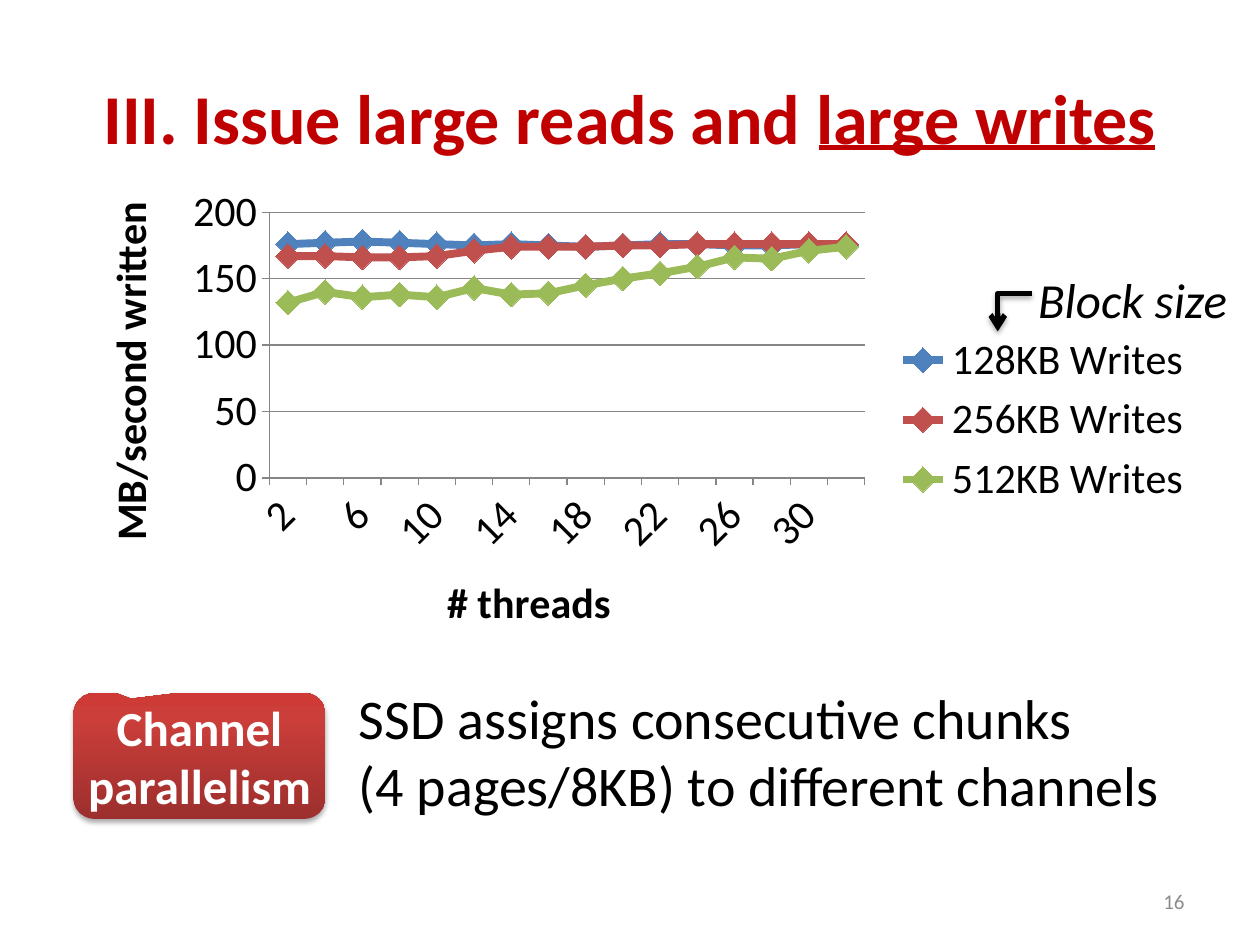
import copy

import lxml.etree
import pptx
import pptx.chart.data
import pptx.dml.color
import pptx.enum.chart
import pptx.enum.shapes
import pptx.enum.text
import pptx.oxml
import pptx.oxml.ns
import pptx.util

Pt = pptx.util.Pt
RGB = pptx.dml.color.RGBColor
qn = pptx.oxml.ns.qn
Align = pptx.enum.text.PP_ALIGN
Anchor = pptx.enum.text.MSO_ANCHOR
Link = pptx.enum.shapes.MSO_CONNECTOR

FONT = "Calibri"
BLACK = RGB(0, 0, 0)
WHITE = RGB(255, 255, 255)
RED = RGB(0xC0, 0, 0)
GRAY = RGB(0x8C, 0x8C, 0x8C)
GRID = RGB(0x86, 0x86, 0x86)
SHADE = [(0, RGB(0x9C, 0x2F, 0x2D)), (0.8, RGB(0xCB, 0x3E, 0x3A)),
         (1, RGB(0xCE, 0x3B, 0x37))]

THREADS = range(2, 33, 2)
SERIES = [
    ("128KB Writes", RGB(0x4F, 0x81, 0xBD),
     [176, 177, 178, 177, 176, 175, 176, 175, 174, 175, 176, 176, 175, 175, 176, 175]),
    ("256KB Writes", RGB(0xC0, 0x50, 0x4D),
     [167, 167, 166, 166, 167, 171, 174, 174, 174, 175, 175, 176, 176, 176, 176, 176]),
    ("512KB Writes", RGB(0x9B, 0xBB, 0x59),
     [132, 140, 136, 138, 136, 143, 138, 139, 145, 150, 154, 159, 166, 165, 171, 174]),
]
PLOT = {"x": 0.165, "y": 0.07, "w": 0.53, "h": 0.55}


def style(font, size, color=BLACK, bold=False, italic=False):
    font.name, font.size = FONT, Pt(size)
    font.bold, font.italic = bold, italic
    font.color.rgb = color


def write(frame, text, size, color=BLACK, align=Align.LEFT, anchor=Anchor.TOP,
          inset=None, **face):
    frame.word_wrap = True
    frame.vertical_anchor = anchor
    if inset is not None:
        frame.margin_left = frame.margin_right = Pt(inset)
        frame.margin_top = frame.margin_bottom = Pt(inset)
    par = frame.paragraphs[0]
    par.text = text
    par.alignment = align
    for run in par.runs:
        style(run.font, size, color, **face)


def label(shapes, box, text, size, **look):
    frame = shapes.add_textbox(*map(Pt, box)).text_frame
    write(frame, text, size, **look)


def effect(shape, shadow):
    """Set a soft drop shadow, or an empty effect list."""
    props = shape._element.spPr
    items = lxml.etree.SubElement(props, qn("a:effectLst"))
    if shadow:
        drop = lxml.etree.SubElement(
            items, qn("a:outerShdw"), blurRad=str(Pt(3.1)), dist=str(Pt(1.8)),
            dir="5400000", rotWithShape="0")
        tint = lxml.etree.SubElement(drop, qn("a:srgbClr"), val=str(BLACK))
        lxml.etree.SubElement(tint, qn("a:alpha"), val="35000")


def connect(shapes, kind, ends, color):
    line = shapes.add_connector(kind, *map(Pt, ends))
    line.line.color.rgb = color
    line.line.width = Pt(3)
    return line


def heading(slide, box):
    """Place the title and the rule under its last two words."""
    left, top, width, height = box
    title = slide.shapes.title
    title.left, title.top, title.width, title.height = map(Pt, box)
    write(title.text_frame, "III. Issue large reads and large writes", 40,
          color=RED, align=Align.CENTER, anchor=Anchor.MIDDLE, bold=True)
    base = top + 62.6
    rule = connect(slide.shapes, Link.STRAIGHT,
                   (left + 432, base, left + 624, base), RED)
    effect(rule, False)


def set_axis(axis, title, turn):
    frame = axis.axis_title.text_frame
    frame.text = title
    style(frame.paragraphs[0].runs[0].font, 24, bold=True)
    frame._txBody.find(qn("a:bodyPr")).set("rot", str(turn * 60000))
    style(axis.tick_labels.font, 24)
    axis.format.line.color.rgb = GRID
    axis.major_tick_mark = pptx.enum.chart.XL_TICK_MARK.OUTSIDE


def set_plot(chart):
    """Fix the inner plot area as shares of the chart box."""
    area = chart._chartSpace.chart.plotArea
    for old in area.findall(qn("c:layout")):
        area.remove(old)
    layout = lxml.etree.Element(qn("c:layout"))
    manual = lxml.etree.SubElement(layout, qn("c:manualLayout"))
    parts = {"layoutTarget": "inner", "xMode": "edge", "yMode": "edge", **PLOT}
    for name, value in parts.items():
        lxml.etree.SubElement(manual, qn("c:" + name), val=str(value))
    area.insert(0, layout)


def graph(slide, box):
    data = pptx.chart.data.CategoryChartData()
    data.categories = [str(count) for count in THREADS]
    for name, _, values in SERIES:
        data.add_series(name, values)
    kind = pptx.enum.chart.XL_CHART_TYPE.LINE_MARKERS
    chart = slide.shapes.add_chart(kind, *map(Pt, box), data).chart
    style(chart.font, 10)
    chart.has_title = False
    chart.has_legend = True
    chart.legend.position = pptx.enum.chart.XL_LEGEND_POSITION.RIGHT
    chart.legend.include_in_layout = False
    style(chart.legend.font, 24)

    rate, count = chart.value_axis, chart.category_axis
    set_axis(rate, "MB/second written", -90)
    set_axis(count, "# threads", 0)
    rate.minimum_scale, rate.maximum_scale, rate.major_unit = 0, 200, 50
    rate.major_gridlines.format.line.color.rgb = GRID
    node = count._element
    node.find(qn("c:txPr")).find(qn("a:bodyPr")).set("rot", "-2700000")
    skip = lxml.etree.Element(qn("c:tickLblSkip"), val="2")
    node.find(qn("c:noMultiLvlLbl")).addprevious(skip)

    chart.plots[0].vary_by_categories = False
    for series, (_, color, _) in zip(chart.plots[0].series, SERIES):
        series.smooth = False
        series.format.line.color.rgb = color
        series.format.line.width = Pt(4.5)
        mark = series.marker
        mark.style = pptx.enum.chart.XL_MARKER_STYLE.DIAMOND
        mark.size = 14
        mark.format.fill.solid()
        mark.format.fill.fore_color.rgb = color
        mark.format.line.color.rgb = color
    set_plot(chart)


def pointer(slide, box):
    """Group the block size label with its bent arrow to the legend."""
    left, top, width, height = box
    shapes = slide.shapes.add_group_shape().shapes
    label(shapes, (left + 19.4, top, width - 19.4, height), "Block size", 28,
          inset=3.6, italic=True)
    bend = connect(shapes, Link.ELBOW,
                   (left + 19.4, top + 17.3, left, top + 38.9), BLACK)
    bend._element.spPr.find(qn("a:prstGeom")).set("prst", "bentConnector2")
    lxml.etree.SubElement(bend.line._get_or_add_ln(), qn("a:tailEnd"), type="arrow")
    effect(bend, True)


def callout(slide, box):
    kind = pptx.enum.shapes.MSO_SHAPE.ROUNDED_RECTANGULAR_CALLOUT
    shape = slide.shapes.add_shape(kind, *map(Pt, box))
    for index, value in enumerate((-0.271, -0.454, 0.167)):
        shape.adjustments[index] = value
    shape.fill.gradient()
    shape.fill.gradient_angle = 90
    stops = shape._element.spPr.find(qn("a:gradFill")).find(qn("a:gsLst"))
    stops.append(copy.deepcopy(stops[-1]))
    for stop, (place, color) in zip(shape.fill.gradient_stops, SHADE):
        stop.position = place
        stop.color.rgb = color
    shape.line.fill.background()
    effect(shape, True)
    write(shape.text_frame, "Channel\vparallelism", 28, color=WHITE,
          align=Align.CENTER, anchor=Anchor.MIDDLE, inset=3.6, bold=True)


def main():
    deck = pptx.Presentation()
    deck.slide_width, deck.slide_height = Pt(720), Pt(540)
    slide = deck.slides.add_slide(deck.slide_layouts[5])
    graph(slide, (48, 102, 642, 276))
    heading(slide, (36, 21.6, 648, 90))
    label(slide.shapes, (198, 387, 486, 86.4),
          "SSD assigns consecutive chunks\v(4 pages/8KB) to different channels", 32)
    label(slide.shapes, (516, 500.5, 168, 28.75), "16", 12, color=GRAY,
          align=Align.RIGHT, anchor=Anchor.MIDDLE)
    pointer(slide, (570.2, 150.5, 144, 41))
    callout(slide, (42, 396, 144, 72))
    deck.save("out.pptx")


if __name__ == "__main__":
    main()
